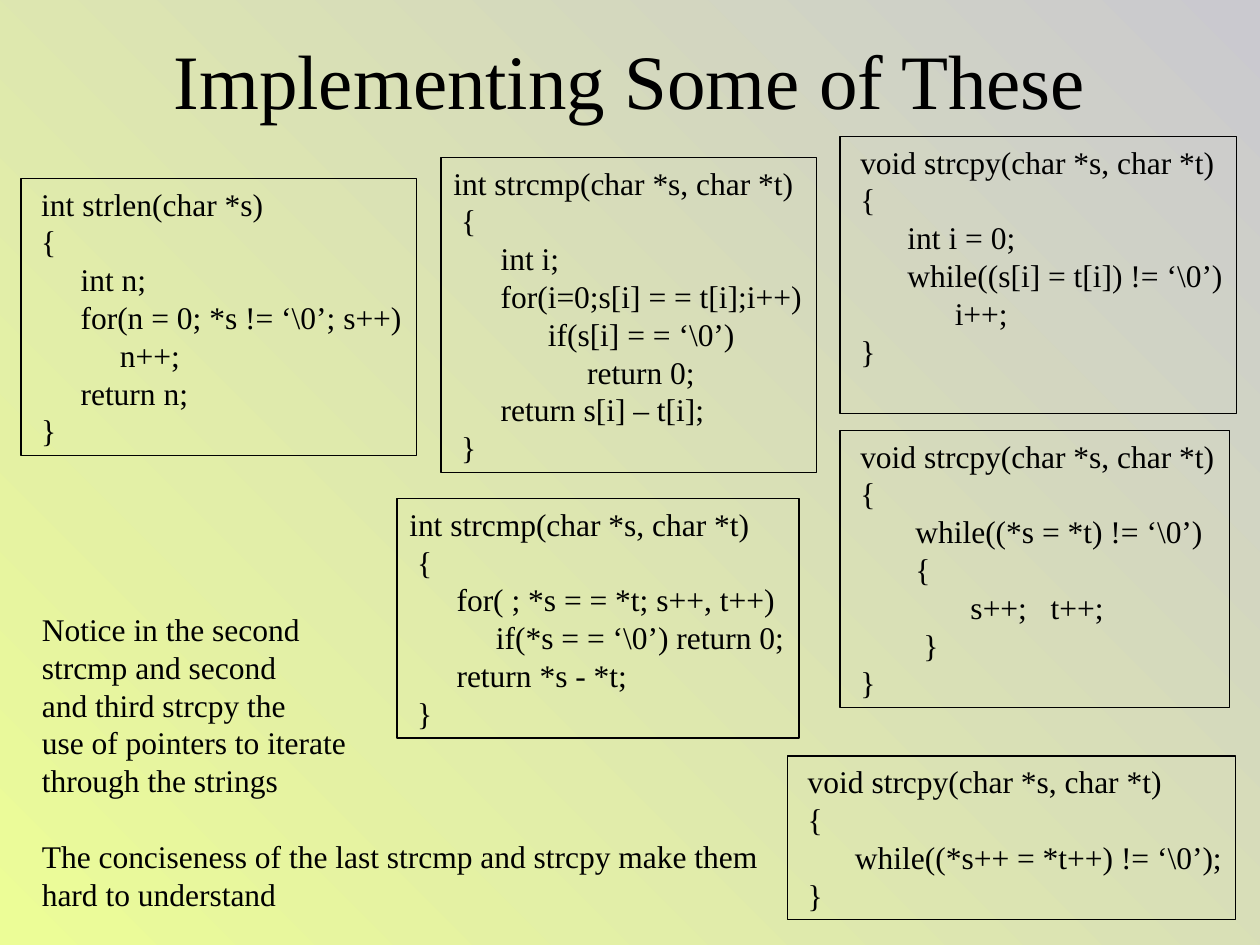
from dataclasses import dataclass

from pptx import Presentation
from pptx import util as u
from pptx.dml.color import RGBColor
from pptx.enum import shapes, text

FONT = "Times New Roman"
INK = "000000"
CELL = u.Inches(1) / 12
SPACE = u.Pt(4.5)
LINE_HEIGHT = u.Inches(0.3)


@dataclass
class Line:
    """A line of text, its indent in spaces, and an optional statement set apart after it."""
    indent: int
    words: str
    apart: str = ""


@dataclass
class Listing:
    """A framed code listing placed on a grid of twelve cells to the inch."""
    column: float
    row: float
    columns: float
    rows_of_text: int
    lines: list[Line]


STRCPY = [Line(1, "void strcpy(char *s, char *t)"), Line(1, "{")]
STRCMP = [Line(0, "int strcmp(char *s, char *t)"), Line(1, "{")]
CLOSE = [Line(1, "}")]

LISTINGS = [
    Listing(2, 17, 37.7, 7, [
        Line(1, "int strlen(char *s)"),
        Line(1, "{"),
        Line(6, "int n;"),
        Line(6, "for(n = 0; *s != ‘\\0’; s++)"),
        Line(11, "n++;"),
        Line(6, "return n;"),
    ] + CLOSE),
    Listing(80, 41, 37.1, 7, STRCPY + [
        Line(8, "while((*s = *t) != ‘\\0’)"),
        Line(8, "{"),
        Line(15, "s++;", "t++;"),
        Line(9, "}"),
    ] + CLOSE),
    Listing(75, 72, 42.7, 4, STRCPY + [
        Line(7, "while((*s++ = *t++) != ‘\\0’);"),
    ] + CLOSE),
    Listing(80, 13, 37.8, 7, STRCPY + [
        Line(7, "int i = 0;"),
        Line(7, "while((s[i] = t[i]) != ‘\\0’)"),
        Line(13, "i++;"),
    ] + CLOSE),
    Listing(42, 15, 35.8, 8, STRCMP + [
        Line(6, "int i;"),
        Line(6, "for(i=0;s[i] = = t[i];i++)"),
        Line(12, "if(s[i] = = ‘\\0’)"),
        Line(17, "return 0;"),
        Line(6, "return s[i] – t[i];"),
    ] + CLOSE),
    Listing(37.8, 47.5, 38.3, 6, STRCMP + [
        Line(6, "for( ; *s = = *t; s++, t++)"),
        Line(11, "if(*s = = ‘\\0’) return 0;"),
        Line(6, "return *s - *t;"),
    ] + CLOSE),
]

NOTES = [
    Line(0, "Notice in the second"),
    Line(0, "strcmp and second"),
    Line(0, "and third strcpy the"),
    Line(0, "use of pointers to iterate"),
    Line(0, "through the strings"),
    Line(0, "The conciseness of the last strcmp and strcpy make them"),
    Line(0, "hard to understand"),
]


def color(code: str) -> RGBColor:
    """Turn a hex string into a colour."""
    return RGBColor.from_string(code)


def cells(*counts: float) -> list[u.Emu]:
    """Turn counts of grid cells into lengths."""
    return [u.Emu(round(count * CELL)) for count in counts]


def style(span, size: float) -> None:
    """Give a run its font, size and colour."""
    span.font.name = FONT
    span.font.size = u.Pt(size)
    span.font.color.rgb = color(INK)


def write(box, lines: list[Line]) -> None:
    """Write indented lines from the top left of a box."""
    frame = box.text_frame
    frame.word_wrap = True
    frame.auto_size = text.MSO_AUTO_SIZE.NONE
    frame.vertical_anchor = text.MSO_ANCHOR.TOP
    frame.margin_right = 0
    for number, line in enumerate(lines):
        para = frame.add_paragraph() if number else frame.paragraphs[0]
        para.alignment = text.PP_ALIGN.LEFT
        properties = para._p.get_or_add_pPr()
        properties.set("marL", str(line.indent * SPACE))
        properties.set("indent", "0")
        for words in filter(None, [line.words, line.apart and " ", line.apart]):
            span = para.add_run()
            span.text = words
            style(span, 18)
            if words == " ":
                span.font._element.set("spc", "900")


def draw_listing(page, listing: Listing) -> None:
    """Draw one framed listing."""
    left, top, width = cells(listing.column, listing.row, listing.columns)
    height = listing.rows_of_text * LINE_HEIGHT + u.Inches(0.1)
    box = page.shapes.add_shape(shapes.MSO_SHAPE.RECTANGLE, left, top, width, height)
    box.shadow.inherit = False
    box.fill.background()
    box.line.color.rgb = color(INK)
    box.line.width = u.Pt(0.75)
    write(box, listing.lines)


def paint_background(page) -> None:
    """Fill the page with a gradient rising to the top right."""
    fill = page.background.fill
    fill.gradient()
    fill.gradient_angle = 45
    for stop, code in zip(fill.gradient_stops, ["ECFD97", "CAC9CF"]):
        stop.color.rgb = color(code)


def draw_title(page, words: str) -> None:
    """Place and format the title placeholder."""
    title = page.shapes.title
    title.left, title.top, title.width, title.height = cells(9, 0, 102, 15)
    title.text_frame.text = words
    title.text_frame.vertical_anchor = text.MSO_ANCHOR.MIDDLE
    para = title.text_frame.paragraphs[0]
    para.alignment = text.PP_ALIGN.CENTER
    style(para.runs[0], 44)


def main() -> None:
    """Build and save the slide."""
    deck = Presentation()
    deck.slide_width, deck.slide_height = cells(120, 90)
    page = deck.slides.add_slide(deck.slide_layouts[5])
    paint_background(page)
    draw_title(page, "Implementing Some of These")
    for listing in LISTINGS:
        draw_listing(page, listing)
    notes = page.shapes.add_textbox(*cells(2.8, 57.5, 70.7, 30))
    write(notes, NOTES)
    notes.text_frame.paragraphs[5].space_before = LINE_HEIGHT
    deck.save("out.pptx")


if __name__ == "__main__":
    main()
